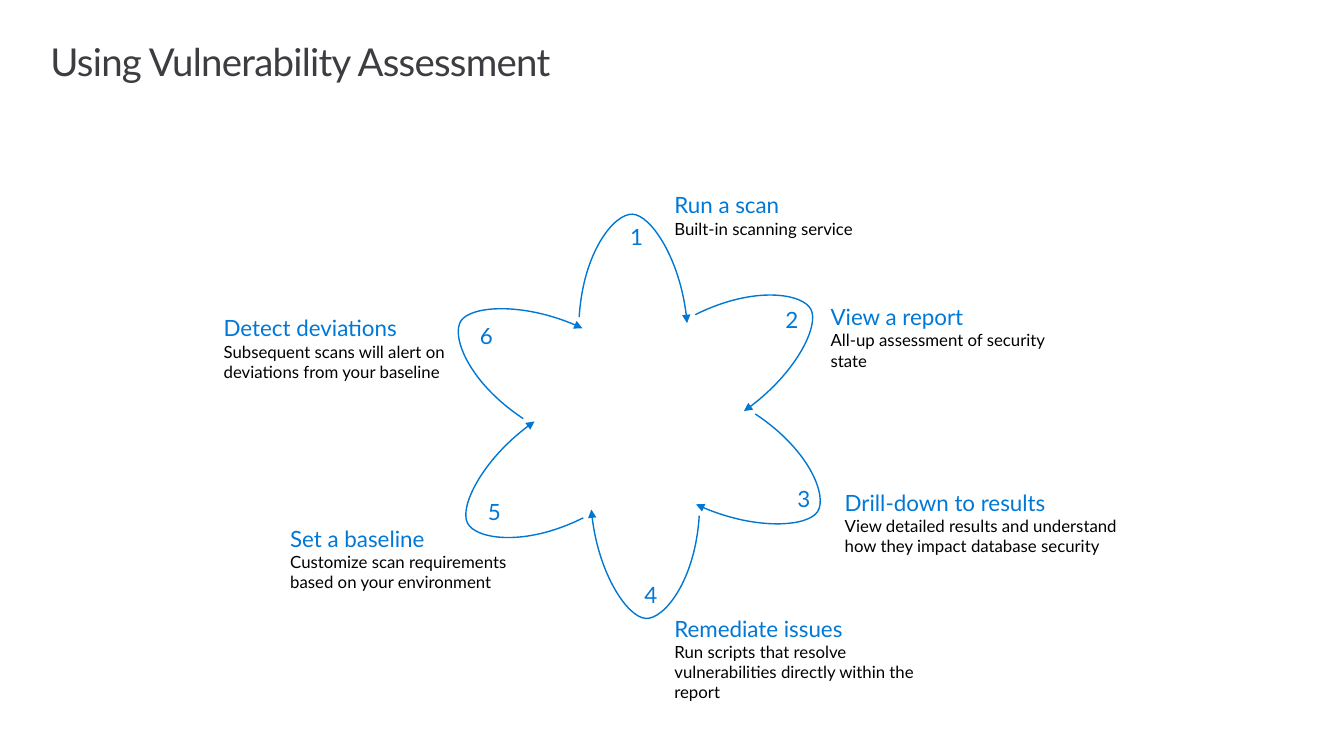
import math

from lxml import etree
from pptx import Presentation
from pptx.dml.color import RGBColor
from pptx.enum.shapes import MSO_SHAPE
from pptx.enum.text import MSO_ANCHOR, MSO_AUTO_SIZE, PP_ALIGN
from pptx.oxml.ns import qn
from pptx.util import Inches, Pt

ELLIPSE = MSO_SHAPE.OVAL
MIDDLE = MSO_ANCHOR.MIDDLE
CENTER = PP_ALIGN.CENTER
GROW = MSO_AUTO_SIZE.SHAPE_TO_FIT_TEXT

FONT = "Lato"
COLORS = {"title": "3C3C41", "accent": "0078D7", "petal": "0078D3", "body": "000000"}

WHEEL_CENTER = (6.34, 4.13)
FIRST_PETAL_OFFSET = (-0.06, -1.47)
# Start point, then two Bézier segments of three points each
PETAL_POINTS = [(0, 1.03), (0.04, 0.38), (0.35, 0), (0.53, 0.01),
                (0.71, 0.02), (1.02, 0.48), (1.07, 1.09)]
BADGE_SIZE = 0.35

# Heading, description, text box (left, top, width, height), badge (left, top)
STEPS = [
    ("Run a scan", "Built-in scanning service",
     (6.59, 1.85, 3.68, 0.57), (6.1, 2.17)),
    ("View a report", "All-up assessment of security state",
     (8.14, 2.96, 2.66, 0.77), (7.64, 3)),
    ("Drill-down to results",
     "View detailed results and understand how they impact database security",
     (8.28, 4.8, 2.96, 0.77), (7.76, 4.77)),
    ("Remediate issues",
     "Run scripts that resolve vulnerabilities directly within the report",
     (6.59, 6.05, 2.92, 0.98), (6.24, 5.72)),
    ("Set a baseline", "Customize scan requirements based on your environment",
     (2.78, 5.16, 2.38, 0.77), (4.69, 4.9)),
    ("Detect deviations",
     "Subsequent scans will alert on deviations from your baseline",
     (2.12, 3.07, 2.41, 0.77), (4.61, 3.15)),
]


def set_text(para, text, size, color):
    para.text = text
    para.font.name = FONT
    para.font.size = Pt(size)
    para.font.color.rgb = RGBColor.from_string(COLORS[color])


def add_text_box(page, area):
    box = page.shapes.add_textbox(*map(Inches, area))
    box.text_frame.word_wrap = True
    return box.text_frame


def add_title(page, text):
    frame = add_text_box(page, (0.5, 0.33, 12.36, 0.89))
    frame.margin_left, frame.margin_right = 0, Inches(0.16)
    frame.margin_top = frame.margin_bottom = Inches(0.1)
    para = frame.paragraphs[0]
    set_text(para, text, 27.4, "title")
    para.line_spacing = 0.9
    para.runs[0].font._element.set("spc", "-50")


def add_step_text(page, heading, description, area):
    frame = add_text_box(page, area)
    frame.auto_size = GROW
    set_text(frame.paragraphs[0], heading, 16, "accent")
    set_text(frame.add_paragraph(), description, 12, "body")


def curve_segments(shape):
    """Turn each three straight segments of the outline into one Bézier curve."""
    lines = list(shape._element.iter(qn("a:lnTo")))
    for first, second, third in zip(*[iter(lines)] * 3):
        curve = etree.Element(qn("a:cubicBezTo"))
        first.addprevious(curve)
        for line in (first, second, third):
            curve.append(line[0])
            line.getparent().remove(line)


def add_petal(page, angle):
    """Draw the first petal's arrow, turned clockwise about the wheel's center."""
    points = [(Inches(x), Inches(y)) for x, y in PETAL_POINTS]
    builder = page.shapes.build_freeform(*points[0])
    builder.add_line_segments(points[1:], close=False)
    petal = builder.convert_to_shape()
    curve_segments(petal)

    cos, sin = math.cos(math.radians(angle)), math.sin(math.radians(angle))
    dx, dy = FIRST_PETAL_OFFSET
    center_x = WHEEL_CENTER[0] + dx * cos - dy * sin
    center_y = WHEEL_CENTER[1] + dx * sin + dy * cos
    petal.left = Inches(center_x) - petal.width // 2
    petal.top = Inches(center_y) - petal.height // 2
    petal.rotation = angle

    petal.shadow.inherit = False
    petal.fill.background()
    petal.line.color.rgb = RGBColor.from_string(COLORS["petal"])
    petal.line.width = Pt(1)
    etree.SubElement(petal.line._get_or_add_ln(), qn("a:tailEnd"), type="triangle")


def add_badge(page, number, corner):
    left, top = map(Inches, corner)
    badge = page.shapes.add_shape(ELLIPSE, left, top, Inches(BADGE_SIZE), Inches(BADGE_SIZE))
    badge.shadow.inherit = False
    badge.fill.background()
    badge.line.fill.background()
    badge.text_frame.vertical_anchor = MIDDLE
    para = badge.text_frame.paragraphs[0]
    set_text(para, str(number), 16, "accent")
    para.alignment = CENTER


def main():
    deck = Presentation()
    deck.slide_width, deck.slide_height = Inches(13.33), Inches(7.5)
    page = deck.slides.add_slide(deck.slide_layouts[6])
    add_title(page, "Using Vulnerability Assessment")
    for index, (heading, description, area, corner) in enumerate(STEPS):
        add_step_text(page, heading, description, area)
        add_petal(page, index * 360 / len(STEPS))
        add_badge(page, index + 1, corner)
    deck.save("out.pptx")


if __name__ == "__main__":
    main()
